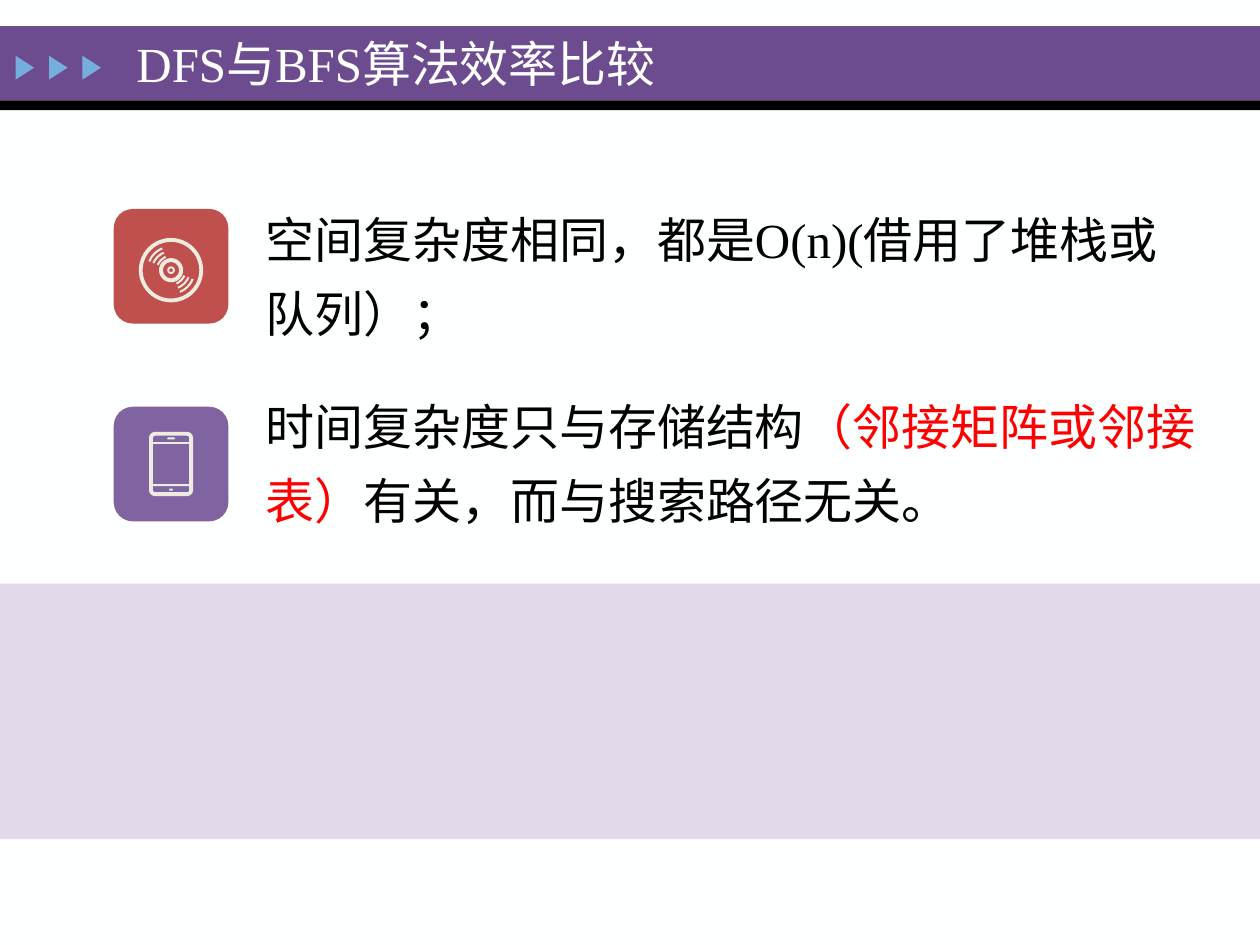
import pptx
import pptx.dml.color
import pptx.enum.shapes
import pptx.enum.text
import pptx.util
from pptx.util import Pt

SHAPE = pptx.enum.shapes.MSO_SHAPE
ANCHOR = pptx.enum.text.MSO_ANCHOR
CREAM = "EEECE1"


def color(value):
    """Turn a hex string into a colour."""
    return pptx.dml.color.RGBColor.from_string(value)


def add_shape(page, kind, box, fill=None, line=None, weight=1, adjust=()):
    """Add a flat preset shape with an optional fill and outline."""
    shape = page.shapes.add_shape(kind, *map(Pt, box))
    shape.shadow.inherit = False
    for index, value in enumerate(adjust):
        shape.adjustments[index] = value
    for part, value in ((shape.fill, fill), (shape.line.fill, line)):
        if value:
            part.solid()
            part.fore_color.rgb = color(value)
        else:
            part.background()
    if line:
        shape.line.width = Pt(weight)
    return shape


def add_text(page, box, paragraphs, frame_format, para_format):
    """Add a text box from paragraphs given as lists of text and colour."""
    frame = page.shapes.add_textbox(*map(Pt, box)).text_frame
    for name, value in frame_format.items():
        setattr(frame, name, value)
    for index, spans in enumerate(paragraphs):
        para = frame.add_paragraph() if index else frame.paragraphs[0]
        for name, value in para_format.items():
            if index or name != "space_before":
                setattr(para, name, value)
        for text, value in spans:
            span = para.add_run()
            span.text = text
            for name, setting in {"size": Pt(28), "name": "Times New Roman"}.items():
                setattr(span.font, name, setting)
            span.font.color.rgb = color(value)


def add_header(page, left, top, width):
    """Draw the title bar with its rule, arrows and title."""
    add_shape(page, SHAPE.RECTANGLE, (left, top, width, 42.4), "6C4C8F")
    add_shape(page, SHAPE.RECTANGLE, (left, top + 42.4, width, 5.6), "000000")
    for index in range(3):
        box = (left + 7.4 + 19.1 * index, top + 18.4, 13.6, 10.6)
        add_shape(page, SHAPE.ISOSCELES_TRIANGLE, box, "76AEDD").rotation = 90
    add_text(page, (left + 70.9, top + 0.9, 402, 40.3),
             [[("DFS与BFS算法效率比较", "FEFFFF")]],
             {"word_wrap": True, "vertical_anchor": ANCHOR.MIDDLE}, {})


def add_disc_icon(page, left, top, size):
    """Draw a tile with a disc of rings and grooves."""
    add_shape(page, SHAPE.ROUNDED_RECTANGLE, (left, top, size, size), "C0504D")
    center_x, center_y = left + size / 2, top + 35

    def around(radius):
        """Give the square box around the disc centre."""
        return center_x - radius, center_y - radius, 2 * radius, 2 * radius

    for radius, thickness in ((18.4, 2.2), (6.9, 2.2), (2.2, 1.1)):
        add_shape(page, SHAPE.DONUT, around(radius), CREAM,
                  adjust=[thickness / (2 * radius)])
    for radius in (8.2, 10.8, 13.4):
        for start in (22, 202):
            add_shape(page, SHAPE.ARC, around(radius), line=CREAM, weight=1.2,
                      adjust=[start * 0.6, (start + 46) * 0.6])


def add_phone_icon(page, left, top, size):
    """Draw a tile with a phone."""
    add_shape(page, SHAPE.ROUNDED_RECTANGLE, (left, top, size, size), "8064A2")
    middle = left + size / 2
    add_shape(page, SHAPE.ROUNDED_RECTANGLE, (middle - 11.5, top + 15.5, 23, 34.5),
              line=CREAM, weight=2.2, adjust=[0.1])
    for offset in (20.2, 44.3):
        add_shape(page, SHAPE.RECTANGLE, (middle - 11, top + offset, 22, 1.1), CREAM)
    for width, offset in ((4.4, 17.6), (2.2, 46.8)):
        add_shape(page, SHAPE.ROUNDED_RECTANGLE,
                  (middle - width / 2, top + offset, width, 1.1), CREAM, adjust=[0.5])


def add_comparison(page, left, top):
    """Place the two icons beside the two statements."""
    add_disc_icon(page, left, top, 65.5)
    add_phone_icon(page, left, top + 113, 65.5)
    statements = [
        [("空间复杂度相同，都是O(n)(借用了堆栈或队列）；", "000000")],
        [("时间复杂度只与存储结构", "000000"), ("（邻接矩阵或邻接表）", "FF0000"),
         ("有关，而与搜索路径无关。", "000000")],
    ]
    add_text(page, (left + 79.7, top - 11.5, 546.5, 201.6), statements,
             {"word_wrap": True}, {"line_spacing": 1.25, "space_before": Pt(23)})


def main():
    """Build the slide and save it."""
    deck = pptx.Presentation()
    deck.slide_width, deck.slide_height = Pt(720), Pt(540)
    page = deck.slides.add_slide(deck.slide_layouts[6])
    page.background.fill.solid()
    page.background.fill.fore_color.rgb = color("FEFFFF")
    add_header(page, 0, 15, 720)
    add_shape(page, SHAPE.RECTANGLE, (0, 333.5, 720, 146), "E2D9EB")
    add_comparison(page, 65, 119.4)
    deck.save("out.pptx")


if __name__ == "__main__":
    main()
